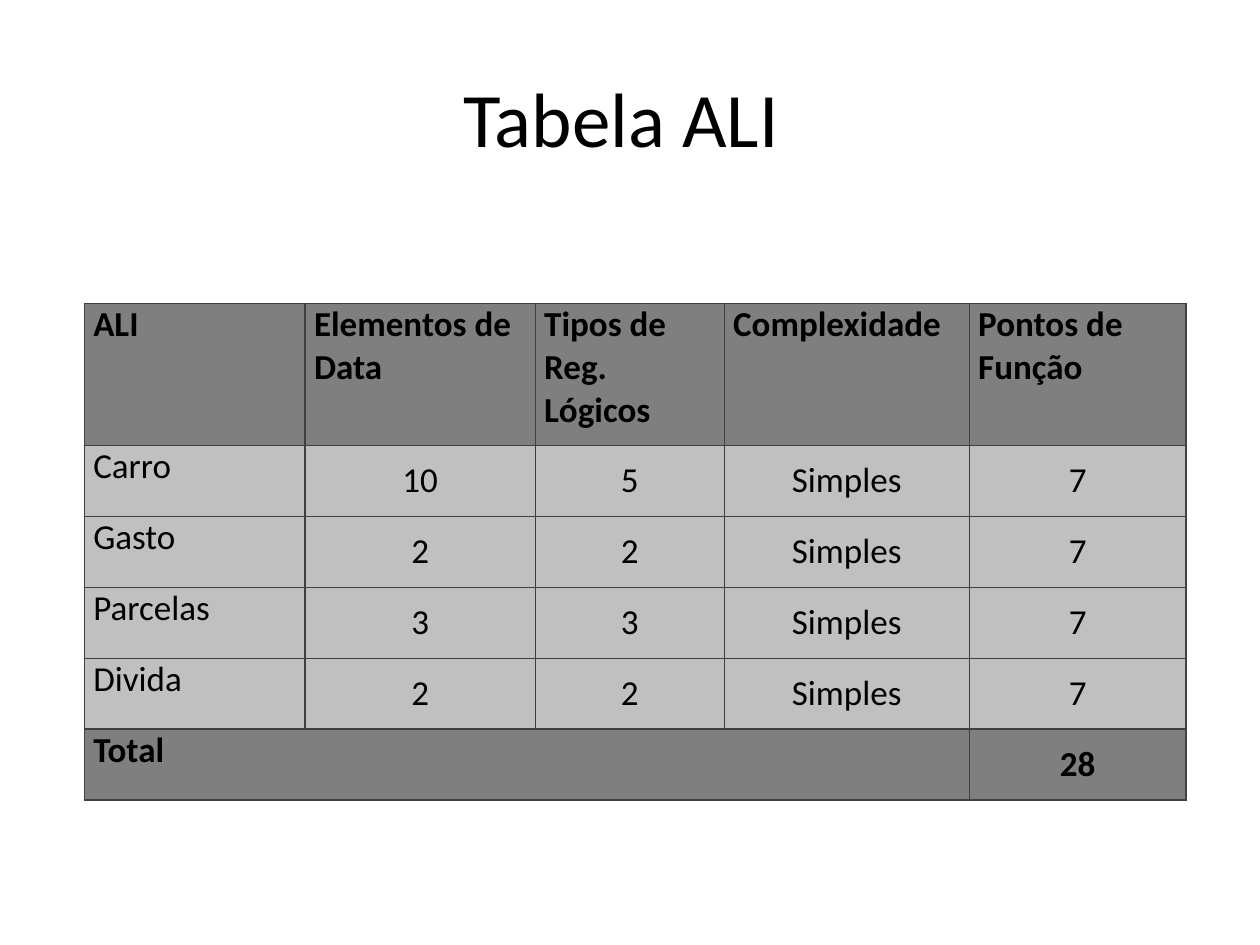
import lxml.etree
import pptx
import pptx.dml.color
import pptx.enum.text
import pptx.oxml.ns
import pptx.util

Cm, Pt = pptx.util.Cm, pptx.util.Pt
ALIGN = pptx.enum.text.PP_ALIGN
ANCHOR = pptx.enum.text.MSO_ANCHOR
qn = pptx.oxml.ns.qn

# Content
TITLE = "Tabela ALI "
HEADER = ["ALI", "Elementos de Data", "Tipos de Reg. Lógicos", "Complexidade", "Pontos de Função"]
FUNCTIONS = [
    ["Carro", "10", "5", "Simples", "7"],
    ["Gasto", "2", "2", "Simples", "7"],
    ["Parcelas", "3", "3", "Simples", "7"],
    ["Divida", "2", "2", "Simples", "7"],
]
TOTAL = ["Total", "", "", "", "28"]

# Theme and layout (centimetres)
THEME = {
    "font": "Calibri", "title_size": 44, "table_size": 20, "text": "000000",
    "strong_fill": "7F7F7F", "body_fill": "C0C0C0", "border": "404040", "border_width": 1,
}
TITLE_BOX = (1.27, 0.76, 22.86, 3.18)
TABLE_ORIGIN = (1.7, 6.12)
COLUMN_WIDTHS = [4.45, 4.64, 3.81, 4.94, 4.37]
ROW_HEIGHT = 1.43
CELL_INSET = 0.18


def rgb(name):
    return pptx.dml.color.RGBColor.from_string(THEME[name])


def apply_format(target, values):
    for name, value in values.items():
        setattr(target, name, value)


def write(para, text, size, bold, align):
    para.alignment = align
    span = para.add_run()
    span.text = text
    apply_format(span.font, {"name": THEME["font"], "size": Pt(THEME[size]), "bold": bold})
    span.font.color.rgb = rgb("text")


def add_borders(cell):
    properties = cell._tc.get_or_add_tcPr()
    for side in ("lnL", "lnR", "lnT", "lnB"):
        line = lxml.etree.SubElement(properties, qn(f"a:{side}"), w=str(Pt(THEME["border_width"])))
        fill = lxml.etree.SubElement(line, qn("a:solidFill"))
        lxml.etree.SubElement(fill, qn("a:srgbClr"), val=THEME["border"])


def add_title(page):
    box = page.shapes.title
    apply_format(box, dict(zip(("left", "top", "width", "height"), map(Cm, TITLE_BOX))))
    apply_format(box.text_frame, {"word_wrap": True, "vertical_anchor": ANCHOR.MIDDLE})
    write(box.text_frame.paragraphs[0], TITLE, "title_size", False, ALIGN.CENTER)


def add_points_table(page):
    rows = [HEADER, *FUNCTIONS, TOTAL]
    heights = [2 * ROW_HEIGHT] + [ROW_HEIGHT] * (len(rows) - 1)
    size = (sum(COLUMN_WIDTHS), sum(heights))
    table = page.shapes.add_table(len(rows), len(HEADER), *map(Cm, TABLE_ORIGIN + size)).table
    for column, width in zip(table.columns, COLUMN_WIDTHS):
        column.width = Cm(width)
    for row, height in zip(table.rows, heights):
        row.height = Cm(height)

    # Header and total are strong; values are centred, labels sit top left
    last = len(rows) - 1
    for r, values in enumerate(rows):
        strong = r in (0, last)
        for c, text in enumerate(values):
            cell = table.cell(r, c)
            centred = r > 0 and c > 0
            apply_format(cell, {
                "margin_left": Cm(CELL_INSET), "margin_right": Cm(CELL_INSET),
                "margin_top": 0, "margin_bottom": 0,
                "vertical_anchor": ANCHOR.MIDDLE if centred else ANCHOR.TOP,
            })
            add_borders(cell)
            cell.fill.solid()
            cell.fill.fore_color.rgb = rgb("strong_fill" if strong else "body_fill")
            if text:
                write(cell.text_frame.paragraphs[0], text, "table_size", strong,
                      ALIGN.CENTER if centred else ALIGN.LEFT)

    # The total label spans every column but the last
    table.cell(last, 0).merge(table.cell(last, len(HEADER) - 2))


def main():
    deck = pptx.Presentation()
    apply_format(deck, {"slide_width": Cm(25.4), "slide_height": Cm(19.05)})
    page = deck.slides.add_slide(deck.slide_layouts[5])
    add_title(page)
    add_points_table(page)
    deck.save("out.pptx")


if __name__ == "__main__":
    main()
